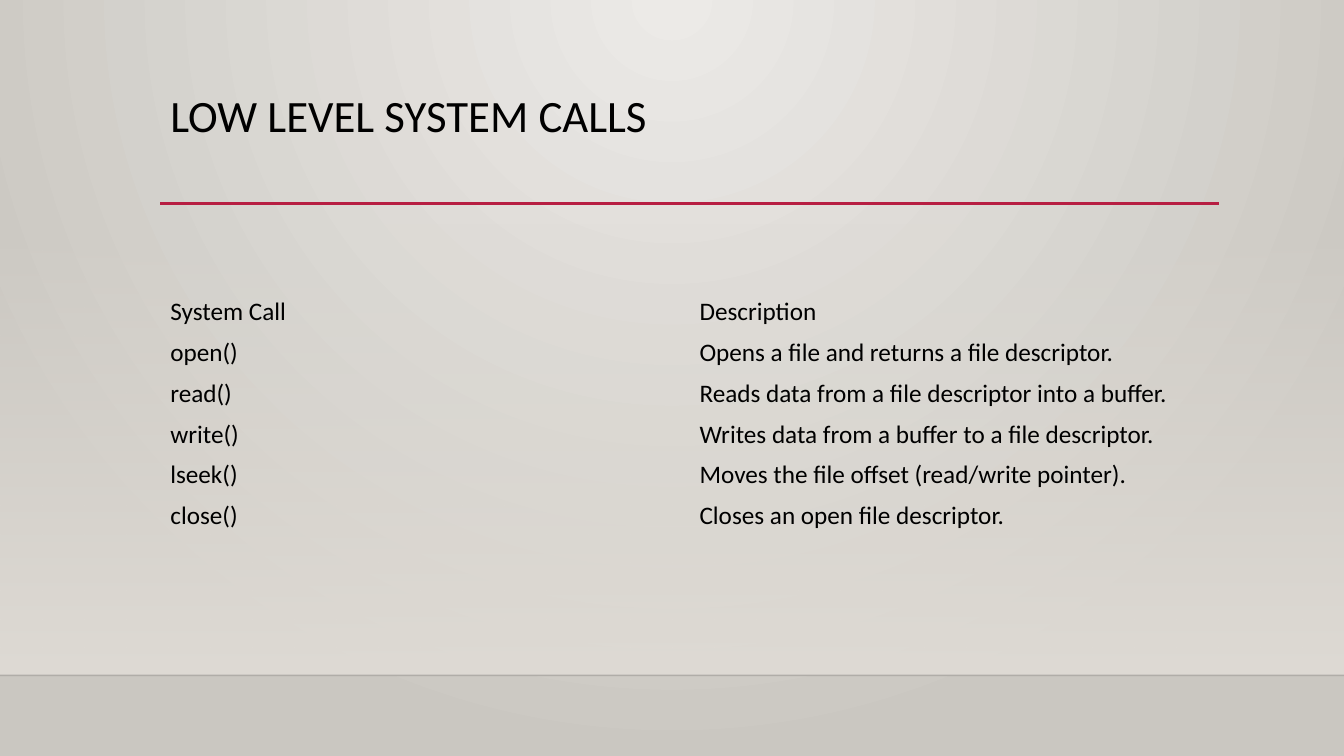
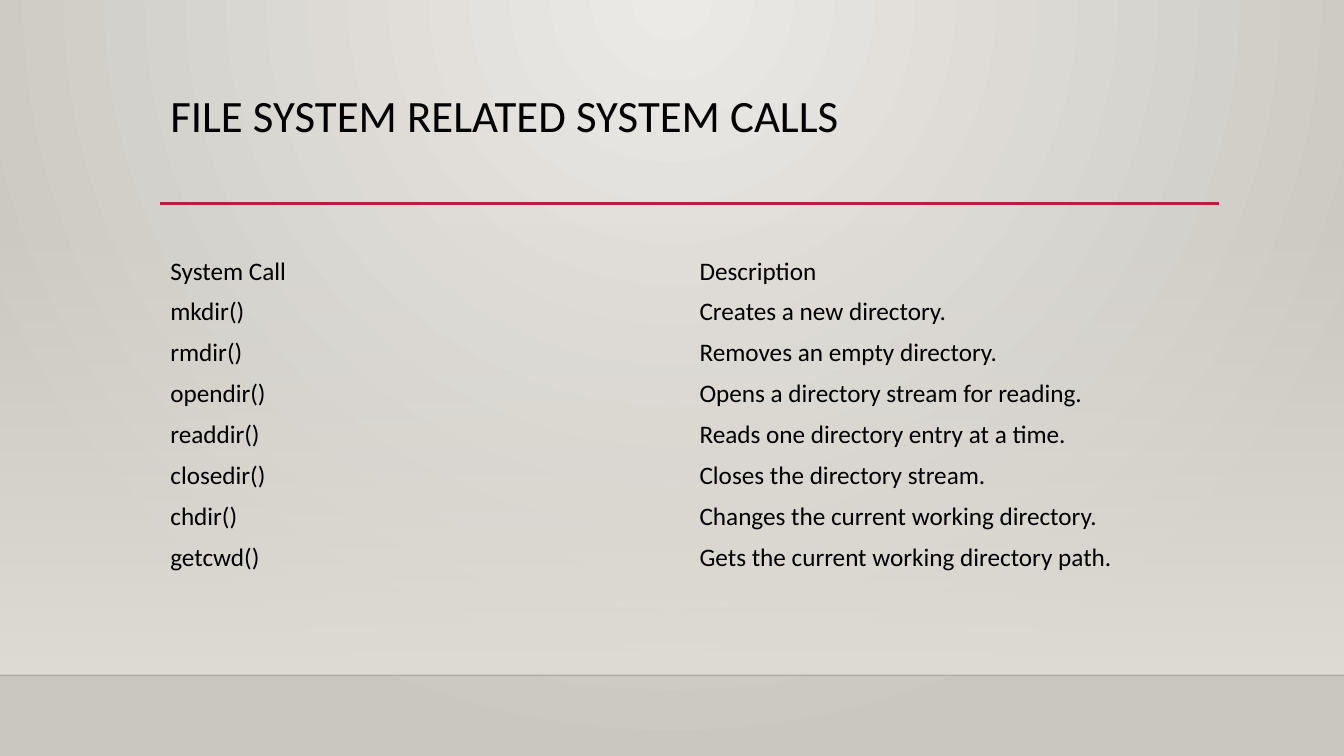
from lxml import etree
from pptx import Presentation
from pptx.dml.color import RGBColor
from pptx.enum import shapes, text
from pptx.oxml import ns
from pptx.util import Pt

BLACK = RGBColor(0x00, 0x00, 0x00)
CRIMSON = RGBColor(0xB7, 0x1E, 0x42)
LIGHT_STONE = RGBColor(0xEC, 0xEA, 0xE7)
DARK_STONE = RGBColor(0xCA, 0xC7, 0xC1)
WALL = RGBColor(0xDF, 0xDB, 0xD5)
FONT = "Calibri"
NO_STYLE_NO_GRID = "{2D5ABB26-0587-4C30-8999-92F81FD0307C}"

SLIDE_W, SLIDE_H = Pt(960), Pt(540)
LEFT, CONTENT_W = Pt(114.5), Pt(756)
WALL_TOP, FLOOR_TOP = Pt(159), Pt(482.4)
RULE_Y = Pt(145.5)
TABLE_MIDDLE = Pt(294.5)
ROW_H = Pt(28.8)

HEADER = ("System Call", "Description")
LOW_LEVEL_CALLS = [
    ("open()", "Opens a file and returns a file descriptor."),
    ("read()", "Reads data from a file descriptor into a buffer."),
    ("write()", "Writes data from a buffer to a file descriptor."),
    ("lseek()", "Moves the file offset (read/write pointer)."),
    ("close()", "Closes an open file descriptor."),
]
FILE_SYSTEM_CALLS = [
    ("mkdir()", "Creates a new directory."),
    ("rmdir()", "Removes an empty directory."),
    ("opendir()", "Opens a directory stream for reading."),
    ("readdir()", "Reads one directory entry at a time."),
    ("closedir()", "Closes the directory stream."),
    ("chdir()", "Changes the current working directory."),
    ("getcwd()", "Gets the current working directory path."),
]


def add_xml(parent, tag, **attributes):
    return etree.SubElement(parent, ns.qn(tag), attributes)


def set_gradient(fill, first, last):
    fill.gradient()
    for stop, color in zip(fill.gradient_stops, (first, last)):
        stop.color.rgb = color


def set_background(master):
    """Fill the master with a glow spreading from the top centre."""
    set_gradient(master.background.fill, LIGHT_STONE, DARK_STONE)
    gradient = master.element.find(".//" + ns.qn("a:gradFill"))
    gradient.remove(gradient.find(ns.qn("a:lin")))
    glow = add_xml(gradient, "a:path", path="circle")
    add_xml(glow, "a:fillToRect", l="43000", t="0", r="43000", b="100000")


def add_wall(slide):
    wall = slide.shapes.add_shape(
        shapes.MSO_SHAPE.RECTANGLE, 0, WALL_TOP, SLIDE_W, FLOOR_TOP - WALL_TOP)
    wall.shadow.inherit = False
    wall.line.fill.background()
    set_gradient(wall.fill, WALL, WALL)
    wall.fill.gradient_angle = 270
    top_color = wall.element.find(".//" + ns.qn("a:srgbClr"))
    add_xml(top_color, "a:alpha", val="0")
    return wall


def add_rule(slide, left, y, width, color, weight):
    rule = slide.shapes.add_connector(
        shapes.MSO_CONNECTOR.STRAIGHT, left, y, left + width, y)
    rule.line.color.rgb = color
    rule.line.width = weight
    add_xml(rule.element.spPr, "a:effectLst")
    return rule


def set_up_layout(layout, slide):
    """Build the shared decoration on a slide and move it to its layout."""
    for placeholder in list(layout.placeholders):
        if placeholder.placeholder_format.type == shapes.PP_PLACEHOLDER.TITLE:
            placeholder.left, placeholder.top = LEFT, Pt(63.5)
            placeholder.width, placeholder.height = CONTENT_W, Pt(82.5)
        else:
            layout.shapes.element.remove(placeholder.element)

    floor_edge = add_rule(slide, 0, FLOOR_TOP, SLIDE_W, BLACK, Pt(1))
    edge_color = floor_edge.element.find(".//" + ns.qn("a:srgbClr"))
    add_xml(edge_color, "a:alpha", val="20000")
    title_rule = add_rule(slide, LEFT, RULE_Y, CONTENT_W, CRIMSON, Pt(2.5))
    decoration = (add_wall(slide), floor_edge, title_rule)
    for position, part in enumerate(decoration, start=2):
        layout.shapes.element.insert(position, part.element)


def write(frame, content, size):
    paragraph = frame.paragraphs[0]
    run = paragraph.add_run()
    run.text = content
    run.font.name = FONT
    run.font.size = size
    run.font.color.rgb = BLACK
    return paragraph


def set_title(slide, title):
    frame = slide.shapes.title.text_frame
    frame.vertical_anchor = text.MSO_ANCHOR.TOP
    paragraph = write(frame, title, Pt(32))
    paragraph.alignment = text.PP_ALIGN.LEFT
    paragraph.line_spacing = 0.9


def add_call_table(slide, calls):
    """Add a plain two-column table, centred on the content area's middle."""
    rows = [HEADER, *calls]
    height = ROW_H * len(rows)
    frame = slide.shapes.add_table(
        len(rows), len(HEADER), LEFT, TABLE_MIDDLE - height // 2, CONTENT_W, height)
    table = frame.table
    table.first_row = table.horz_banding = False
    frame.element.find(".//" + ns.qn("a:tableStyleId")).text = NO_STYLE_NO_GRID
    for r, row in enumerate(rows):
        for c, content in enumerate(row):
            cell = table.cell(r, c)
            cell.fill.background()
            cell.vertical_anchor = text.MSO_ANCHOR.MIDDLE
            write(cell.text_frame, content, Pt(18))


def main():
    prs = Presentation()
    prs.slide_width, prs.slide_height = SLIDE_W, SLIDE_H
    set_background(prs.slide_master)
    layout = prs.slide_layouts.get_by_name("Title Only")
    low_level, file_system = [prs.slides.add_slide(layout) for _ in range(2)]
    set_up_layout(layout, low_level)

    set_title(low_level, "LOW LEVEL SYSTEM CALLS")
    add_call_table(low_level, LOW_LEVEL_CALLS)
    set_title(file_system, "FILE SYSTEM RELATED SYSTEM CALLS")
    add_call_table(file_system, FILE_SYSTEM_CALLS)
    prs.save("out.pptx")


if __name__ == "__main__":
    main()
